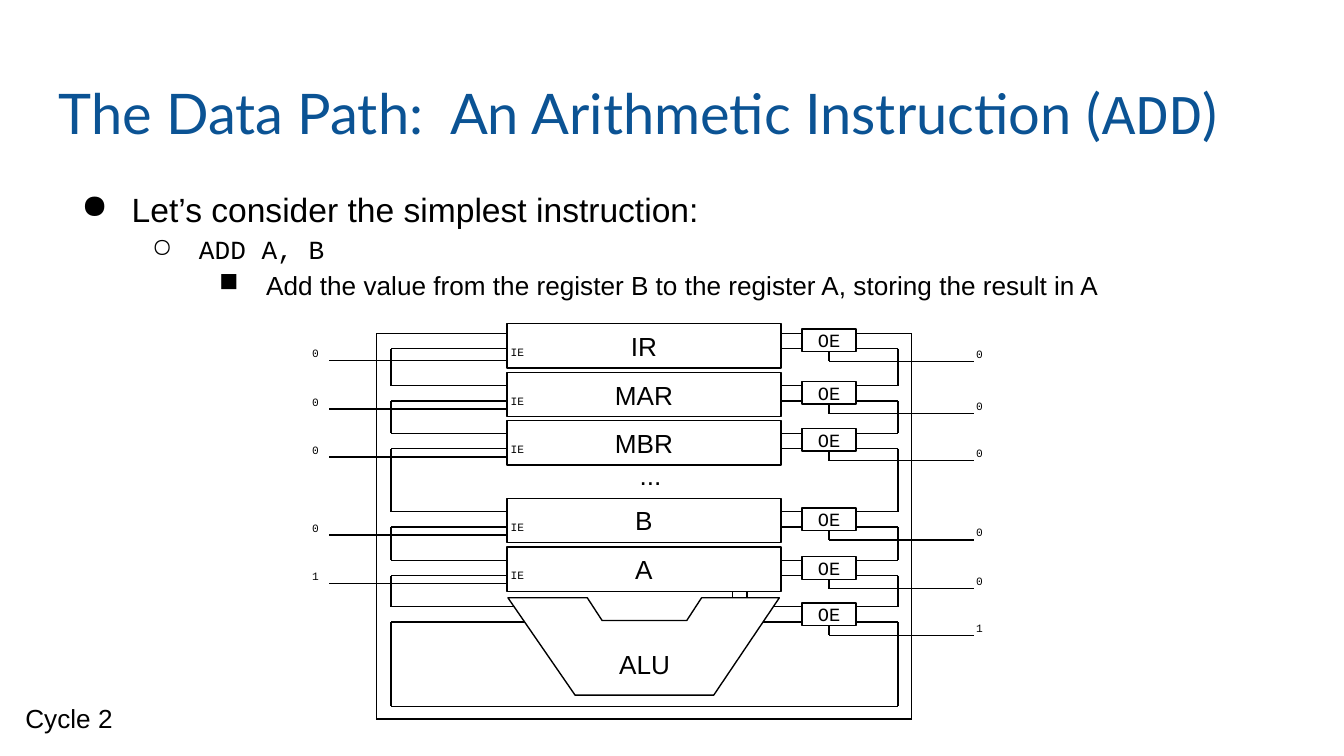
from dataclasses import dataclass

from lxml import etree
from pptx import Presentation
from pptx.dml.color import RGBColor
from pptx.enum.shapes import MSO_CONNECTOR, MSO_SHAPE
from pptx.enum.text import MSO_ANCHOR, PP_ALIGN
from pptx.oxml.ns import qn
from pptx.util import Cm, Pt

STRAIGHT = MSO_CONNECTOR.STRAIGHT
RECTANGLE = MSO_SHAPE.RECTANGLE
TOP, MIDDLE = MSO_ANCHOR.TOP, MSO_ANCHOR.MIDDLE
LEFT, CENTER = PP_ALIGN.LEFT, PP_ALIGN.CENTER


@dataclass(frozen=True)
class Theme:
    ink: RGBColor = RGBColor(0x00, 0x00, 0x00)
    paper: RGBColor = RGBColor(0xFF, 0xFF, 0xFF)
    title_color: RGBColor = RGBColor(0x0B, 0x53, 0x94)
    title_font: str = "Lato"
    sans: str = "Arial"
    mono: str = "Courier New"
    title_size: float = 30
    lead_size: float = 18
    label_size: float = 14
    gate_size: float = 10
    signal_size: float = 6
    stroke: float = 0.75
    inset: float = 0.25


@dataclass(frozen=True)
class Bullet:
    text: str
    mark: str
    font: str
    size: float
    margin: float
    hanging: float


@dataclass(frozen=True)
class Unit:
    """One unit on the buses: its upper tap, output gate and control signals."""
    name: str
    tap: float
    gate_top: float
    output_signal: str
    register_top: float = 0
    input_signal: str = ""


THEME = Theme()

BULLETS = [
    Bullet("Let’s consider the simplest instruction:", "●", THEME.sans, THEME.lead_size, 1.27, 0.95),
    Bullet("ADD A, B", "○", THEME.mono, THEME.label_size, 2.54, 0.89),
    Bullet("Add the value from the register B to the register A, storing the result in A",
           "■", THEME.sans, THEME.label_size, 3.81, 0.89),
]

REGISTERS = [
    Unit("IR", 6.3, 6.22, "0", 6.12, "0"),
    Unit("MAR", 7.29, 7.21, "0", 7.04, "0"),
    Unit("MBR", 8.19, 8.1, "0", 7.95, "0"),
    Unit("B", 9.67, 9.6, "0", 9.42, "0"),
    Unit("A", 10.59, 10.52, "0", 10.34, "1"),
]
ALU = Unit("ALU", 11.47, 11.4, "1")
UNITS = REGISTERS + [ALU]

# Diagram geometry in centimetres
REGISTER_LEFT, REGISTER_WIDTH, REGISTER_HEIGHT = 9.58, 5.18, 0.84
GATE_LEFT, GATE_WIDTH, GATE_HEIGHT = 15.16, 1.02, 0.43
TAP_GAP = 0.29
OUTER_BOTTOM, INNER_BOTTOM = 13.59, 13.35
BUS_SIDES = [(7.11, 7.39, 9.96), (17.23, 16.97, 14.36)]  # outer, inner, tap end
ALU_OUTLINE = [(9.6, 11.3), (11.1, 11.3), (11.38, 11.73), (12.98, 11.73),
               (13.26, 11.3), (14.73, 11.3), (13.49, 13.14), (10.87, 13.14)]


def set_frame(frame, anchor=TOP) -> None:
    frame.word_wrap = True
    frame.vertical_anchor = anchor
    frame.margin_left = frame.margin_right = Cm(THEME.inset)
    frame.margin_top = frame.margin_bottom = Cm(THEME.inset)


def style_para(para, font: str, size: float, align=LEFT, color: RGBColor = THEME.ink) -> None:
    para.alignment = align
    para.font.name = font
    para.font.size = Pt(size)
    para.font.color.rgb = color


def add_frame(page, left: float, top: float, width: float, height: float):
    box = page.shapes.add_textbox(Cm(left), Cm(top), Cm(width), Cm(height))
    set_frame(box.text_frame)
    return box.text_frame


def add_label(page, text: str, left: float, top: float, width: float, height: float,
              font: str = THEME.sans, size: float = THEME.label_size, align=LEFT) -> None:
    para = add_frame(page, left, top, width, height).paragraphs[0]
    para.text = text
    style_para(para, font, size, align)


def add_signal(page, text: str, left: float, top: float, width: float = 0.46) -> None:
    add_label(page, text, left, top, width, 0.52, THEME.mono, THEME.signal_size)


def paint(shape) -> None:
    shape.shadow.inherit = False
    shape.fill.solid()
    shape.fill.fore_color.rgb = THEME.paper
    shape.line.color.rgb = THEME.ink
    shape.line.width = Pt(THEME.stroke)


def add_block(page, text: str, left: float, top: float, width: float, height: float,
              font: str, size: float) -> None:
    block = page.shapes.add_shape(RECTANGLE, Cm(left), Cm(top), Cm(width), Cm(height))
    paint(block)
    set_frame(block.text_frame, MIDDLE)
    para = block.text_frame.paragraphs[0]
    para.text = text
    style_para(para, font, size, CENTER)


def add_wire(page, x1: float, y1: float, x2: float, y2: float) -> None:
    wire = page.shapes.add_connector(STRAIGHT, Cm(x1), Cm(y1), Cm(x2), Cm(y2))
    wire.line.color.rgb = THEME.ink
    wire.line.width = Pt(THEME.stroke)
    etree.SubElement(wire._element.spPr, qn("a:effectLst"))


def add_title(page) -> None:
    para = add_frame(page, 0.86, 1.24, 23.67, 1.6).paragraphs[0]
    style_para(para, THEME.title_font, THEME.title_size, color=THEME.title_color)
    for text, font in [("The Data Path:  An Arithmetic Instruction (", THEME.title_font),
                       ("ADD", THEME.mono), (")", THEME.title_font)]:
        span = para.add_run()
        span.text = text
        span.font.name = font


def add_bullets(page, bullets: list[Bullet]) -> None:
    frame = add_frame(page, 0.97, 3.2, 22.07, 3.33)
    for level, bullet in enumerate(bullets):
        para = frame.add_paragraph() if level else frame.paragraphs[0]
        para.text = bullet.text
        para.level = level
        para.line_spacing = 1.15
        properties = para._p.get_or_add_pPr()
        properties.set("marL", str(Cm(bullet.margin)))
        properties.set("indent", str(-Cm(bullet.hanging)))
        color = etree.SubElement(properties, qn("a:buClr"))
        etree.SubElement(color, qn("a:srgbClr")).set("val", str(THEME.ink))
        etree.SubElement(properties, qn("a:buChar")).set("char", bullet.mark)
        style_para(para, bullet.font, bullet.size)


def add_buses(page) -> None:
    for outer, inner, tap_end in BUS_SIDES:
        add_wire(page, outer, UNITS[0].tap, outer, OUTER_BOTTOM)
        for index, unit in enumerate(UNITS):
            lower_tap = unit.tap + TAP_GAP
            last = index == len(UNITS) - 1
            segment_end = INNER_BOTTOM if last else UNITS[index + 1].tap
            add_wire(page, inner if index else outer, unit.tap, tap_end, unit.tap)
            add_wire(page, inner, lower_tap, tap_end, lower_tap)
            add_wire(page, inner, lower_tap, inner, segment_end)
    (outer_left, inner_left, _), (outer_right, inner_right, _) = BUS_SIDES
    add_wire(page, outer_left, OUTER_BOTTOM, outer_right, OUTER_BOTTOM)
    add_wire(page, inner_left, INNER_BOTTOM, inner_right, INNER_BOTTOM)


def add_alu(page) -> None:
    start, *corners = [(Cm(x), Cm(y)) for x, y in ALU_OUTLINE]
    builder = page.shapes.build_freeform(*start, scale=1.0)
    builder.add_line_segments(corners, close=True)
    paint(builder.convert_to_shape())
    add_label(page, ALU.name, 11.4, 12.01, 1.57, 0.71, align=CENTER)
    for x in (13.84, 14.12):  # link from register A
        add_wire(page, x, 11.02, x, 11.3)


def add_register(page, unit: Unit) -> None:
    top = unit.register_top
    add_block(page, unit.name, REGISTER_LEFT, top, REGISTER_WIDTH, REGISTER_HEIGHT,
              THEME.sans, THEME.label_size)
    add_signal(page, "IE", 9.4, top + 0.28, 1.02)
    add_wire(page, 6.22, top + 0.69, REGISTER_LEFT, top + 0.69)
    add_signal(page, unit.input_signal, 5.69, top + 0.3)


def add_gate(page, unit: Unit) -> None:
    top = unit.gate_top
    center, elbow = GATE_LEFT + GATE_WIDTH / 2, top + 0.61
    add_block(page, "OE", GATE_LEFT, top, GATE_WIDTH, GATE_HEIGHT, THEME.mono, THEME.gate_size)
    add_wire(page, center, top + GATE_HEIGHT, center, elbow)
    add_wire(page, center, elbow, 18.41, elbow)
    add_signal(page, unit.output_signal, 18.24, top + 0.21)


def main() -> None:
    deck = Presentation()
    deck.slide_width, deck.slide_height = Cm(25.4), Cm(14.29)
    page = deck.slides.add_slide(deck.slide_layouts[6])

    # Text
    add_title(page)
    add_bullets(page, BULLETS)
    add_label(page, "Cycle 2", 0.23, 13.03, 11.05, 1.3)

    # Data path: buses lie behind the units
    add_buses(page)
    add_alu(page)
    for unit in REGISTERS:
        add_register(page, unit)
    for unit in UNITS:
        add_gate(page, unit)
    add_label(page, "...", 11.84, 8.43, 0.97, 1.12)

    deck.save("out.pptx")


if __name__ == "__main__":
    main()
